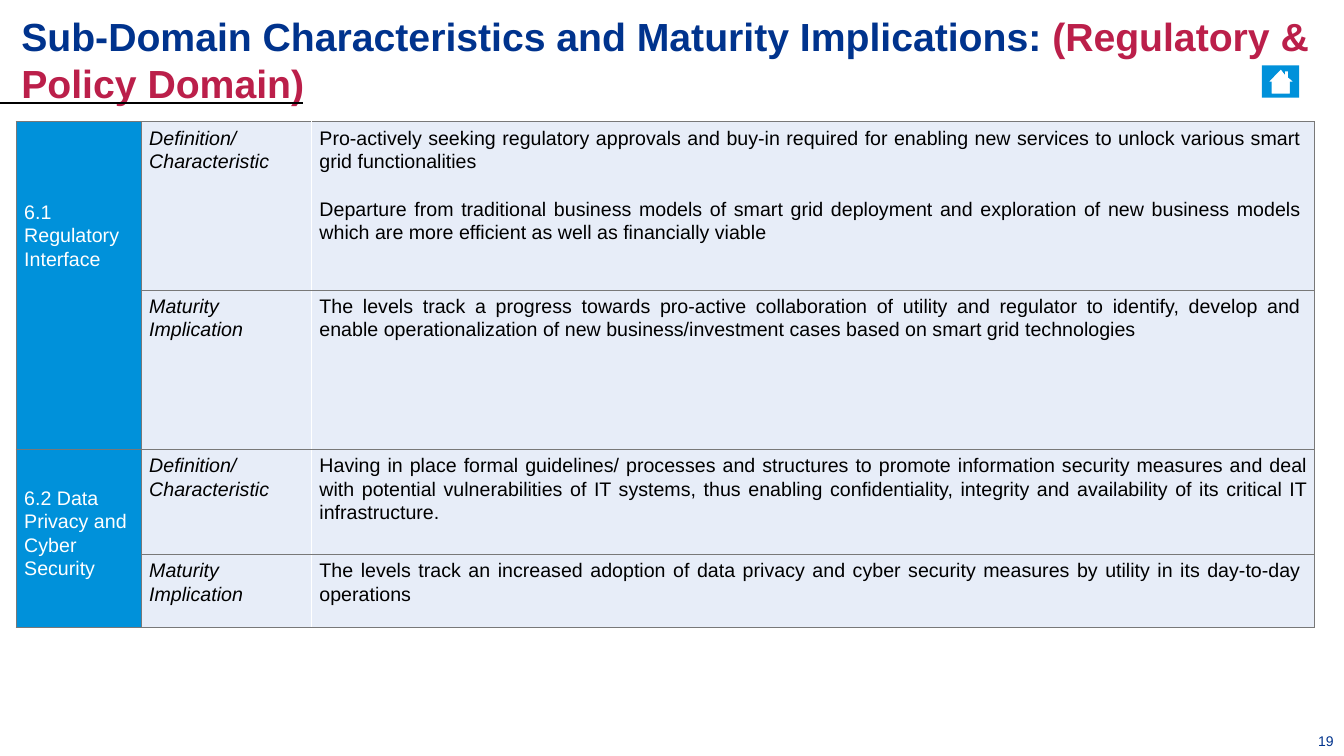
from dataclasses import dataclass
from lxml.etree import SubElement
from pptx import Presentation
from pptx.dml.color import RGBColor
from pptx.enum.shapes import MSO_CONNECTOR
from pptx.enum.text import PP_ALIGN
from pptx.oxml.ns import qn
from pptx.util import Cm, Pt


@dataclass(frozen=True)
class Theme:
    font: str = "Arial"
    navy: str = "00338D"
    red: str = "BB1F4A"
    blue: str = "0091DA"
    pale: str = "E7EDF8"
    grey: str = "787878"
    white: str = "FFFFFF"
    black: str = "000000"
    title: float = 28
    body: float = 14
    number: float = 10


T = Theme()

# Each sub-domain: label paragraphs, top margin of the label, rows of
# (aspect, paragraphs, right margin)
SUB_DOMAINS = [
    (["6.1", "Regulatory Interface"], 1.97, [
        ("Definition/ Characteristic", [
            "Pro-actively seeking regulatory approvals and buy-in required for enabling "
            "new services to unlock various smart grid functionalities",
            "Departure from traditional business models of smart grid deployment and "
            "exploration of new business models which are more efficient as well as "
            "financially viable"], 0.32),
        ("Maturity Implication", [
            "The levels track a progress towards pro-active collaboration of utility and "
            "regulator to identify, develop and enable operationalization of new "
            "business/investment cases based on smart grid technologies"], 0.32),
    ]),
    (["6.2 Data Privacy and Cyber Security"], 0.91, [
        ("Definition/ Characteristic", [
            "Having in place formal guidelines/ processes and structures to promote "
            "information security measures and deal with potential vulnerabilities of IT "
            "systems, thus enabling confidentiality, integrity and availability of its "
            "critical IT infrastructure."], 0.15),
        ("Maturity Implication", [
            "The levels track an increased adoption of data privacy and cyber security "
            "measures by utility in its day-to-day operations"], 0.32),
    ]),
]
COLUMNS = [3.15, 4.29, 25.27]
ROWS = [4.24, 4.02, 2.64, 1.85]

# Icon contours in cm: left part with roof slope, right part, chimney gap
HOUSE = [
    [(0.94, 0), (0, 0), (0, 0.81), (0.94, 0.81), (0.94, 0.71), (0.25, 0.71),
     (0.25, 0.41), (0.18, 0.41), (0.48, 0.1), (0.94, 0.1)],
    [(0.94, 0.15), (0.66, 0.15), (0.66, 0.3), (0.79, 0.41), (0.71, 0.41),
     (0.71, 0.71), (0.94, 0.71)],
    [(0.94, 0.1), (0.48, 0.1), (0.58, 0.23), (0.58, 0.15), (0.94, 0.15)],
]


def rgb(value):
    return RGBColor.from_string(value)


def write(tf, paragraphs, size=T.body, color=T.black, bold=False, italic=False,
          align=PP_ALIGN.LEFT, spacing=None, gap=0):
    """Fill a text frame; each paragraph is a string or a list of (text, color)."""
    tf.word_wrap = True
    for i, item in enumerate(paragraphs):
        p = tf.add_paragraph() if i else tf.paragraphs[0]
        p.alignment = align
        p.line_spacing = spacing
        p.space_before = Pt(gap if i else 0)
        for text, shade in [(item, color)] if isinstance(item, str) else item:
            r = p.add_run()
            r.text = text
            f = r.font
            f.name, f.size, f.bold, f.italic = T.font, Pt(size), bold, italic
            f.color.rgb = rgb(shade)


def add_text(s, x, y, w, h, paragraphs, **fmt):
    tf = s.shapes.add_textbox(Cm(x), Cm(y), Cm(w), Cm(h)).text_frame
    tf.margin_left = tf.margin_right = tf.margin_bottom = 0
    tf.margin_top = Cm(0.03)
    write(tf, paragraphs, **fmt)


def style_cell(cell, fill, left, right):
    """Set cell borders, then its fill."""
    tcPr = cell._tc.get_or_add_tcPr()
    for side, color in zip("LRTB", (left, right, T.grey, T.grey)):
        ln = SubElement(tcPr, qn(f"a:ln{side}"), w=str(Pt(1)))
        SubElement(SubElement(ln, qn("a:solidFill")), qn("a:srgbClr"), val=color)
    cell.fill.solid()
    cell.fill.fore_color.rgb = rgb(fill)


def fill_cell(cell, paragraphs, top=0.1, right=0.0, **fmt):
    cell.margin_left, cell.margin_right = Cm(0.2), Cm(right)
    cell.margin_top, cell.margin_bottom = Cm(top), 0
    write(cell.text_frame, paragraphs, spacing=1.07, **fmt)


def add_heading(s, x, y, w):
    """Two-line title with a rule under its second line."""
    fmt = dict(size=T.title, bold=True)
    add_text(s, x, y, w, 1.24, [[
        ("Sub-Domain Characteristics and Maturity Implications: ", T.navy),
        ("(Regulatory &", T.red)]], **fmt)
    add_text(s, x, y + 1.19, w, 1.24, ["Policy Domain)"], color=T.red, **fmt)
    rule = s.shapes.add_connector(MSO_CONNECTOR.STRAIGHT, 0, Cm(y + 2.31),
                                  Cm(x + 7.1), Cm(y + 2.31))
    rule.line.color.rgb = rgb(T.black)
    rule.line.width = Pt(1.5)
    SubElement(rule._element.spPr, qn("a:effectLst"))


def add_home_icon(s, x, y):
    first, *others = [[(Cm(a), Cm(b)) for a, b in c] for c in HOUSE]
    fb = s.shapes.build_freeform(*first[0])
    fb.add_line_segments(first[1:])
    for contour in others:
        fb.move_to(*contour[0])
        fb.add_line_segments(contour[1:])
    sp = fb.convert_to_shape(Cm(x), Cm(y))
    sp.shadow.inherit = False
    sp.fill.solid()
    sp.fill.fore_color.rgb = rgb(T.blue)
    sp.line.fill.background()


def add_domain_table(s, x, y):
    table = s.shapes.add_table(len(ROWS), len(COLUMNS), Cm(x), Cm(y),
                               Cm(sum(COLUMNS)), Cm(sum(ROWS))).table
    table.first_row = table.horz_banding = False
    for col, width in zip(table.columns, COLUMNS):
        col.width = Cm(width)
    for row, height in zip(table.rows, ROWS):
        row.height = Cm(height)
        for cell, style in zip(row.cells, ((T.blue, T.grey, T.grey),
                                           (T.pale, T.grey, T.white),
                                           (T.pale, T.white, T.grey))):
            style_cell(cell, *style)

    row = 0
    for label, top, aspects in SUB_DOMAINS:
        head = table.cell(row, 0)
        head.merge(table.cell(row + len(aspects) - 1, 0))
        fill_cell(head, label, top=top, color=T.white)
        for aspect, paragraphs, right in aspects:
            fill_cell(table.cell(row, 1), [aspect], right=0.2, italic=True)
            fill_cell(table.cell(row, 2), paragraphs, right=right,
                      align=PP_ALIGN.JUSTIFY, gap=17)
            row += 1


def main():
    prs = Presentation()
    prs.slide_width, prs.slide_height = Cm(33.87), Cm(19.05)
    s = prs.slides.add_slide(prs.slide_layouts[6])
    add_heading(s, 0.54, 0.28, 32.9)
    add_domain_table(s, 0.41, 3.07)
    add_home_icon(s, 31.8, 1.65)
    # Page number
    add_text(s, 33.22, 18.44, 0.6, 0.46, ["19"], size=T.number, color=T.navy)
    prs.save("out.pptx")


if __name__ == "__main__":
    main()
